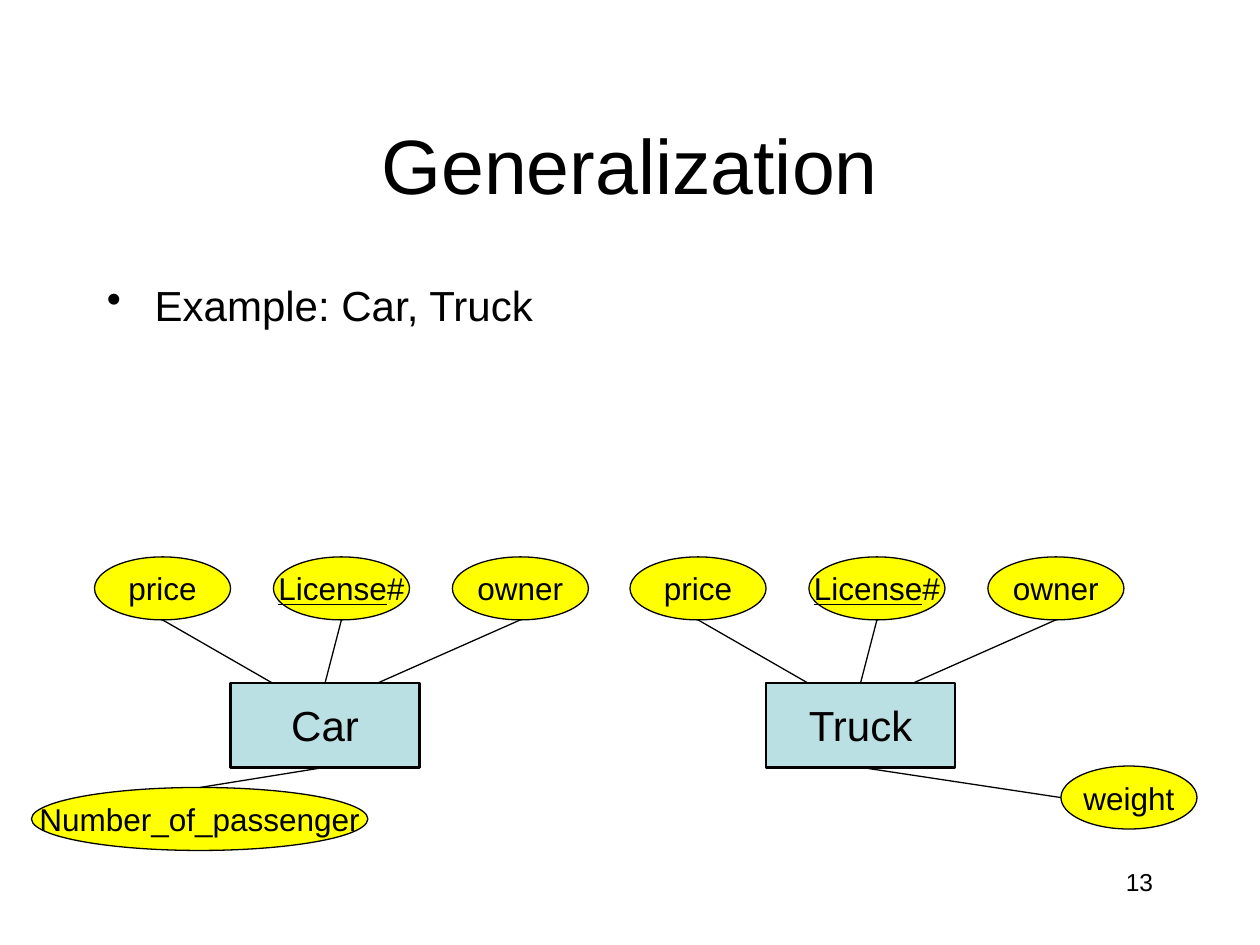
from lxml.etree import SubElement
from pptx import Presentation
from pptx.dml.color import RGBColor
from pptx.enum.shapes import MSO_CONNECTOR, MSO_SHAPE
from pptx.enum.text import MSO_ANCHOR, PP_ALIGN
from pptx.oxml.ns import qn
from pptx.util import Inches, Pt

COLORS = {"ink": "000000", "entity": "BBE0E3", "attribute": "FFFF00"}
ATTRIBUTE_WIDTH, ATTRIBUTE_HEIGHT, ATTRIBUTE_PITCH = 1.08, 0.5, 1.42
ENTITY_WIDTH, ENTITY_HEIGHT = 1.5, 0.67
SHARED_ATTRIBUTES = [("price", ""), ("License", "#"), ("owner", "")]


def color(name):
    """Return the named colour."""
    return RGBColor.from_string(COLORS[name])


def style(paragraph, size, align):
    """Set the font and alignment of a paragraph."""
    paragraph.alignment = align
    paragraph.font.name = "Arial"
    paragraph.font.size = Pt(size)
    paragraph.font.color.rgb = color("ink")


def add_text(slide, box, text, size, align, anchor=MSO_ANCHOR.TOP, bullet=False):
    """Add a wrapped text box, with a bullet if asked."""
    frame = slide.shapes.add_textbox(*map(Inches, box)).text_frame
    frame.word_wrap = True
    frame.vertical_anchor = anchor
    paragraph = frame.paragraphs[0]
    paragraph.text = text
    if bullet:
        properties = paragraph._p.get_or_add_pPr()
        properties.set("marL", str(Inches(0.38)))
        properties.set("indent", str(-Inches(0.38)))
        SubElement(properties, qn("a:buChar"), char="•")
    style(paragraph, size, align)


def add_node(slide, kind, box, fill, line_width, size, label, suffix=""):
    """Add a filled node whose label is underlined when a suffix follows it."""
    node = slide.shapes.add_shape(kind, *map(Inches, box))
    node.shadow.inherit = False
    node.fill.solid()
    node.fill.fore_color.rgb = color(fill)
    node.line.color.rgb = color("ink")
    node.line.width = Pt(line_width)
    frame = node.text_frame
    frame.word_wrap = False
    frame.vertical_anchor = MSO_ANCHOR.MIDDLE
    paragraph = frame.paragraphs[0]
    name = paragraph.add_run()
    name.text = label
    if suffix:
        name.font.underline = True
        paragraph.add_run().text = suffix
    style(paragraph, size, PP_ALIGN.CENTER)


def add_attribute(slide, box, label, suffix=""):
    """Add an attribute ellipse."""
    add_node(slide, MSO_SHAPE.OVAL, box, "attribute", 0.75, 18, label, suffix)


def add_link(slide, start, end):
    """Add a thin line between two points."""
    link = slide.shapes.add_connector(
        MSO_CONNECTOR.STRAIGHT, *map(Inches, (*start, *end)))
    link.line.color.rgb = color("ink")
    link.line.width = Pt(0.75)
    SubElement(link._element.spPr, qn("a:effectLst"))


def add_entity_diagram(slide, left, top, entity, own_label, own_box, own_joint):
    """Draw an entity, its shared attributes and its own attribute."""
    entity_left, entity_top = left + 1.08, top + 1
    entity_middle = entity_left + ENTITY_WIDTH / 2
    add_node(slide, MSO_SHAPE.RECTANGLE,
             (entity_left, entity_top, ENTITY_WIDTH, ENTITY_HEIGHT),
             "entity", 1.5, 24, entity)

    own_x, own_y, own_width = own_box
    own_left, own_top = left + own_x, top + own_y
    add_attribute(slide, (own_left, own_top, own_width, ATTRIBUTE_HEIGHT), own_label)
    joint_x, joint_y = own_joint
    add_link(slide,
             (own_left + joint_x * own_width, own_top + joint_y * ATTRIBUTE_HEIGHT),
             (entity_middle, entity_top + ENTITY_HEIGHT))

    for index, (label, suffix) in enumerate(SHARED_ATTRIBUTES):
        attribute_left = left + index * ATTRIBUTE_PITCH
        add_attribute(slide, (attribute_left, top, ATTRIBUTE_WIDTH, ATTRIBUTE_HEIGHT),
                      label, suffix)
        add_link(slide,
                 (attribute_left + ATTRIBUTE_WIDTH / 2, top + ATTRIBUTE_HEIGHT),
                 (entity_middle + (index - 1) * 0.42, entity_top))


def main():
    """Build and save the slide."""
    deck = Presentation()
    deck.slide_width, deck.slide_height = Inches(10), Inches(7.5)
    slide = deck.slides.add_slide(deck.slide_layouts[6])
    add_text(slide, (0.75, 0.67, 8.5, 1.25), "Generalization", 44,
             PP_ALIGN.CENTER, MSO_ANCHOR.MIDDLE)
    add_text(slide, (0.75, 2.17, 8.5, 4.5), "Example: Car, Truck", 24,
             PP_ALIGN.LEFT, bullet=True)
    add_text(slide, (7.17, 6.83, 2.08, 0.5), "13", 14, PP_ALIGN.RIGHT)
    add_entity_diagram(slide, 0.75, 4.42, "Car", "Number_of_passenger",
                       (-0.5, 1.83, 2.67), (0.5, 0))
    add_entity_diagram(slide, 5, 4.42, "Truck", "weight",
                       (3.42, 1.66, ATTRIBUTE_WIDTH), (0, 0.5))
    deck.save("out.pptx")


if __name__ == "__main__":
    main()
